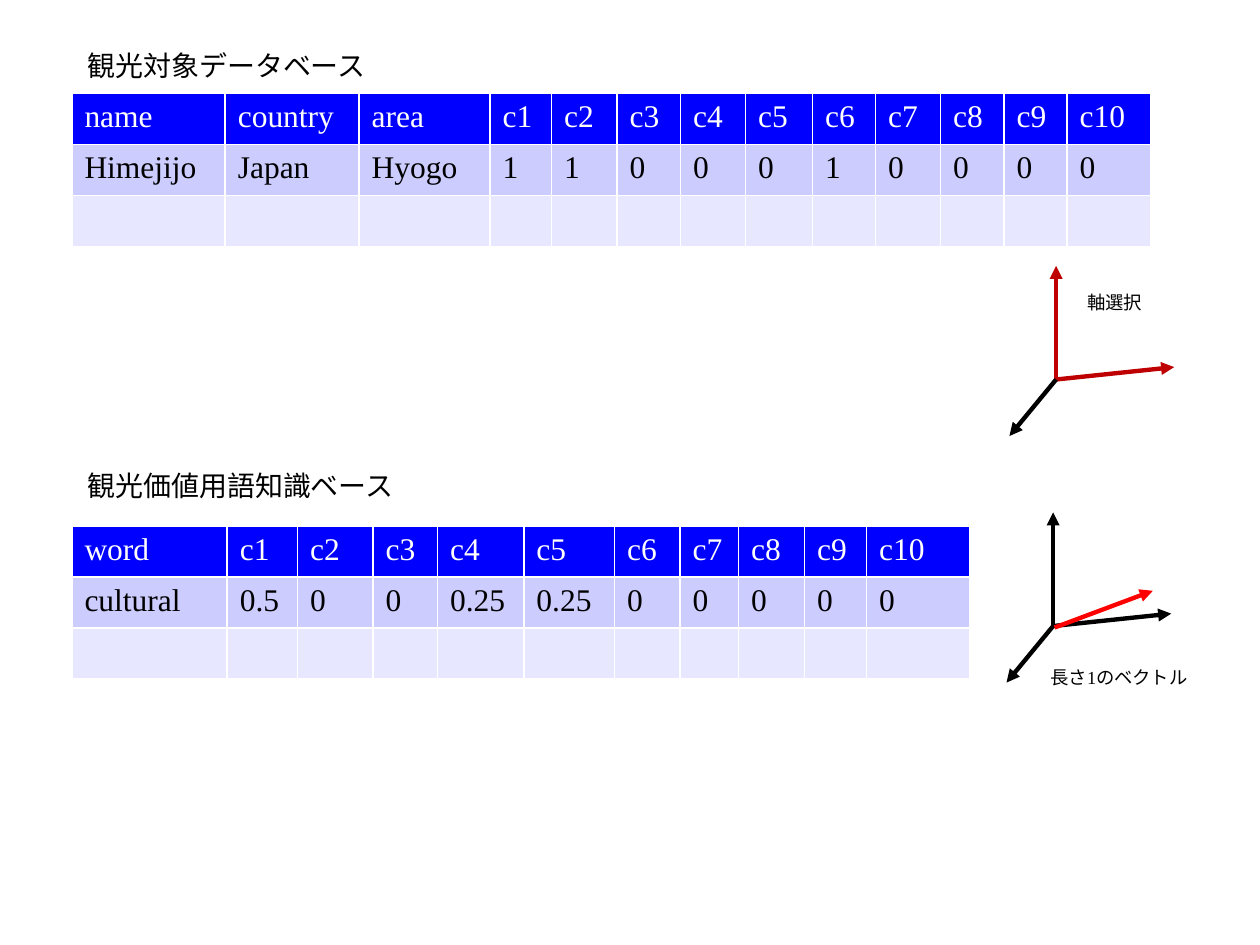
from pptx import Presentation
from pptx.dml.color import RGBColor
from pptx.enum.shapes import MSO_CONNECTOR
from pptx.enum.text import MSO_AUTO_SIZE
from pptx.oxml.ns import qn
from pptx.util import Cm, Pt
from lxml import etree

LINE = MSO_CONNECTOR.STRAIGHT
GROW = MSO_AUTO_SIZE.SHAPE_TO_FIT_TEXT
FONT = "Times New Roman"
HUES = {"black": "000000", "white": "FFFFFF", "head": "0000FF", "band": "CCCCFF",
        "pale": "E7E7FF", "red": "FF0000", "dark": "BF0000"}
LEFT, ROW = 1.45, 1.03
TERMS = [f"c{n}" for n in range(1, 11)]
STYLES = [("head", "white"), ("band", "black"), ("pale", "black")]

TABLES = [
    {"top": 1.88,
     "cols": [3.09, 2.7, 2.64, 1.24, 1.32, 1.28, 1.31, 1.35, 1.27, 1.31, 1.28, 1.27, 1.69],
     "rows": [["name", "country", "area"] + TERMS,
              ["Himejijo", "Japan", "Hyogo"] + list("1100010000")]},
    {"top": 10.6,
     "cols": [3.13, 1.42, 1.52, 1.3, 1.74, 1.83, 1.32, 1.18, 1.33, 1.25, 2.08],
     "rows": [["word"] + TERMS,
              ["cultural", "0.5", "0", "0", "0.25", "0.25"] + list("00000")]},
]
LABELS = [
    ("観光対象データベース", 1.52, 0.86, 11.07, 0.94, 16),
    ("観光価値用語知識ベース", 1.52, 9.32, 11.07, 0.94, 16),
    ("長さ1のベクトル", 20.93, 13.31, 5.23, 0.71, 10.5),
    ("軸選択", 21.67, 5.74, 5.23, 0.71, 10.5),
]
AXES = [(0, -2.29), (2.38, -0.25), (-0.94, 1.14)]
FRAMES = [((21.23, 12.62), ["black", "black", "black"]),
          ((21.29, 7.65), ["dark", "dark", "black"])]
VECTOR = ((21.26, 12.65), (1.98, -0.74), "red")


def hue(name):
    """Return the named colour."""
    return RGBColor.from_string(HUES[name])


def write(frame, text, size, tone):
    """Add one run of text to the first paragraph."""
    run = frame.paragraphs[0].add_run()
    run.text = text
    run.font.name = FONT
    run.font.size = Pt(size)
    run.font.bold = False
    run.font.color.rgb = hue(tone)


def add_grid(slide, top, cols, rows):
    """Add a table with a header, a data row and an empty row."""
    rows = rows + [[""] * len(cols)]
    grid = slide.shapes.add_table(len(rows), len(cols), Cm(LEFT), Cm(top),
                                  Cm(sum(cols)), Cm(ROW * len(rows))).table
    for col, width in zip(grid.columns, cols):
        col.width = Cm(width)
    for row, texts, (fill, tone) in zip(grid.rows, rows, STYLES):
        row.height = Cm(ROW)
        for cell, text in zip(row.cells, texts):
            cell.fill.solid()
            cell.fill.fore_color.rgb = hue(fill)
            if text:
                write(cell.text_frame, text, 18, tone)


def add_label(slide, text, left, top, width, height, size):
    """Add a wrapped line of text."""
    box = slide.shapes.add_textbox(Cm(left), Cm(top), Cm(width), Cm(height))
    box.text_frame.word_wrap = True
    box.text_frame.auto_size = GROW
    write(box.text_frame, text, size, "black")


def add_arrow(slide, start, step, tone):
    """Add an arrow from a start point along a step."""
    (x, y), (dx, dy) = start, step
    arrow = slide.shapes.add_connector(LINE, Cm(x), Cm(y), Cm(x + dx), Cm(y + dy))
    arrow.line.width = Pt(2.5)
    arrow.line.color.rgb = hue(tone)
    etree.SubElement(arrow.line._get_or_add_ln(), qn("a:tailEnd"), type="triangle")
    etree.SubElement(arrow._element.spPr, qn("a:effectLst"))


def main():
    """Build the slide of tables and vector sketches."""
    deck = Presentation()
    deck.slide_width, deck.slide_height = Cm(25.4), Cm(19.05)
    slide = deck.slides.add_slide(deck.slide_layouts[6])
    for table in TABLES:
        add_grid(slide, **table)
    for start, tones in FRAMES:
        for step, tone in zip(AXES, tones):
            add_arrow(slide, start, step, tone)
    add_arrow(slide, *VECTOR)
    for label in LABELS:
        add_label(slide, *label)
    deck.save("out.pptx")


if __name__ == "__main__":
    main()
